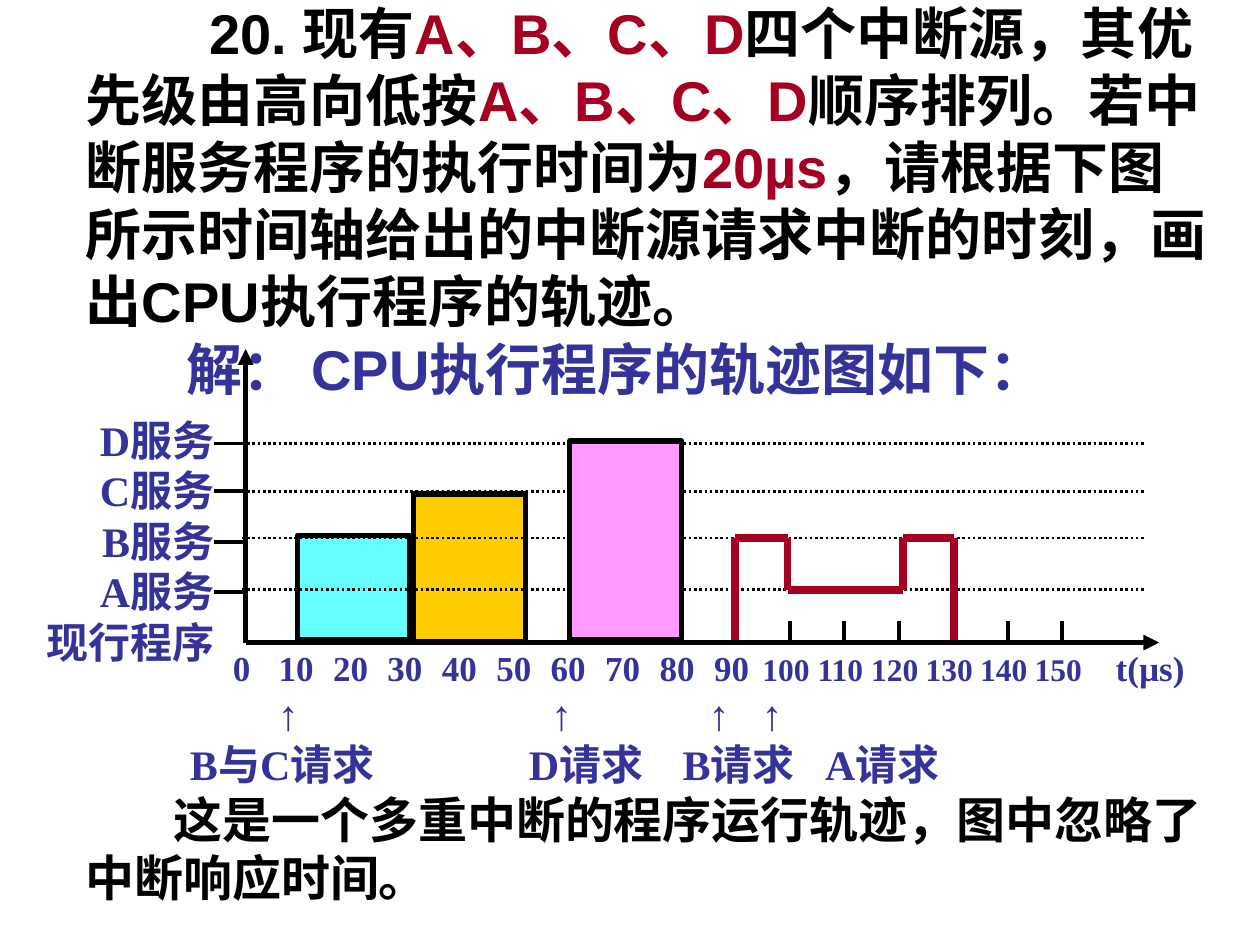
import itertools

import pptx
import pptx.dml.color
import pptx.enum.dml
import pptx.enum.shapes
import pptx.enum.text
import pptx.oxml
import pptx.oxml.ns
import pptx.util

RGB = pptx.dml.color.RGBColor
BLACK = RGB(0x00, 0x00, 0x00)
RED = RGB(0xA5, 0x00, 0x21)
BLUE = RGB(0x33, 0x33, 0x99)
CYAN = RGB(0x66, 0xFF, 0xFF)
ORANGE = RGB(0xFF, 0xCC, 0x00)
PINK = RGB(0xFF, 0x99, 0xFF)

ALIGN = pptx.enum.text.PP_ALIGN
COLS, ROWS = 100, 75
ORIGIN, BASE = 19.5, 51
SERVICE_ROWS = {"D": 35.2, "C": 39, "B": 42.7, "A": 46.8}


def time_col(t):
    """Column of a time in microseconds."""
    return ORIGIN + 0.432 * t


def element(tag, **attrs):
    el = pptx.oxml.parse_xml(f"<a:{tag} {pptx.oxml.ns.nsdecls('a')}/>")
    for name, value in attrs.items():
        el.set(name, str(value))
    return el


class Deck:
    """Slide on a grid of COLS by ROWS, with the style of its elements."""

    def __init__(self):
        self.prs = pptx.Presentation()
        self.prs.slide_width = pptx.util.Inches(10)
        self.prs.slide_height = pptx.util.Inches(7.5)
        self.s = self.prs.slides.add_slide(self.prs.slide_layouts[5])
        self.font = {"name": "Times New Roman", "size": 24, "bold": True, "color": BLUE}

    def grid(self, col, row):
        return (int(self.prs.slide_width * col / COLS),
                int(self.prs.slide_height * row / ROWS))

    def add_runs(self, p, runs, **style):
        """Add (text, overrides) runs to a paragraph."""
        for text, changes in runs:
            r = p.add_run()
            r.text = text
            for name, value in {**self.font, **style, **changes}.items():
                if name == "color":
                    r.font.color.rgb = value
                else:
                    setattr(r.font, name, pptx.util.Pt(value) if name == "size" else value)

    def indent(self, p, cols):
        pPr = p._p.get_or_add_pPr()
        pPr.set("marL", "0")
        pPr.set("indent", str(self.grid(cols, 0)[0]))

    def tabs(self, p, cols, left, kind):
        """Set tab stops at slide columns, for text starting at column left."""
        stops = element("tabLst")
        for col in cols:
            stops.append(element("tab", pos=self.grid(col - left, 0)[0], algn=kind))
        p._p.get_or_add_pPr().append(stops)

    def title(self, box, paragraphs, **style):
        sp = self.s.shapes.title
        sp.left, sp.top = self.grid(*box[:2])
        sp.width, sp.height = self.grid(*box[2:])
        tf = sp.text_frame
        tf.auto_size = pptx.enum.text.MSO_AUTO_SIZE.NONE
        tf.vertical_anchor = pptx.enum.text.MSO_ANCHOR.MIDDLE
        for i, (cols, runs) in enumerate(paragraphs):
            p = tf.add_paragraph() if i else tf.paragraphs[0]
            p.alignment = ALIGN.LEFT
            p.space_before = pptx.util.Pt(0)
            self.indent(p, cols)
            self.add_runs(p, runs, **style)

    def text_box(self, box, count):
        """Add a wrapping text box and return its frame with count paragraphs."""
        sp = self.s.shapes.add_textbox(*self.grid(*box[:2]), *self.grid(*box[2:]))
        tf = sp.text_frame
        tf.word_wrap = True
        for _ in range(count - 1):
            tf.add_paragraph()
        return tf

    def line(self, start, end, width=2.25, color=BLACK, dash=None, arrow=False):
        c = self.s.shapes.add_connector(pptx.enum.shapes.MSO_CONNECTOR.STRAIGHT,
                                        *self.grid(*start), *self.grid(*end))
        c.line.width = pptx.util.Pt(width)
        c.line.color.rgb = color
        if dash:
            c.line.dash_style = dash
        if arrow:
            c.line._get_or_add_ln().append(element("tailEnd", type="triangle"))
        c._element.spPr.append(element("effectLst"))

    def bar(self, col, row, height, color):
        sp = self.s.shapes.add_shape(pptx.enum.shapes.MSO_SHAPE.RECTANGLE,
                                     *self.grid(col, row), *self.grid(8.9, height))
        sp.shadow.inherit = False
        sp.fill.solid()
        sp.fill.fore_color.rgb = color
        sp.line.color.rgb = BLACK
        sp.line.width = pptx.util.Pt(3)


def add_question(deck):
    red = {"color": RED}
    question = [
        ("20. 现有", {}), ("A、B、C、D", red),
        ("四个中断源，其优先级由高向低按", {}), ("A、B、C、D", red),
        ("顺序排列。若中断服务程序的执行时间为", {}), ("20µs", red),
        ("，请根据下图所示时间轴给出的中断源请求中断的时刻，画出CPU执行程序的轨迹。", {}),
    ]
    answer = [("解： CPU执行程序的轨迹图如下：", {"color": BLUE})]
    deck.title((5.8, 2.5, 91.7, 26.7), [(9.8, question), (8, answer)],
               name="Arial", size=32, color=BLACK)


def add_axes(deck):
    for end in ((ORIGIN, 27.7), (92, BASE)):
        deck.line((ORIGIN, BASE), end, width=3, arrow=True)
    for row in (35.2, 39, 43, 47):
        deck.line((17, row), (ORIGIN, row))
    for t in range(10, 160, 10):
        deck.line((time_col(t), 49.3), (time_col(t), BASE))

    labels = [f"{name}服务" for name in SERVICE_ROWS] + ["现行程序"]
    tf = deck.text_box((2.8, 32.4, 18, 21), len(labels))
    tf.margin_left, tf.margin_right = 0, deck.grid(3.8, 0)[0]
    for p, label in zip(tf.paragraphs, labels):
        p.alignment = ALIGN.RIGHT
        deck.add_runs(p, [(label, {})])


def add_timeline_text(deck):
    left = 6.8
    times, arrows, requests, note = deck.text_box((5.8, 50.8, 91.7, 21.7), 4).paragraphs

    ticks = range(0, 160, 10)
    deck.tabs(times, [time_col(t) - 0.3 for t in ticks] + [91.3], left, "ctr")
    deck.add_runs(times, [(f"\t{t}", {"size": 18 if t >= 100 else 20}) for t in ticks]
                  + [("\tt(µs)", {"size": 20})])

    deck.tabs(arrows, (22.9, 44.6, 57.1, 61.3), left, "ctr")
    deck.add_runs(arrows, [("\t↑" * 4, {"name": "Arial"})])

    deck.tabs(requests, (15.1, 42, 54.2, 65.5), left, "l")
    deck.add_runs(requests, [("\tB与C请求\tD请求\tB请求\tA请求", {})])

    deck.indent(note, 7)
    deck.add_runs(note, [("这是一个多重中断的程序运行轨迹，图中忽略了中断响应时间。", {})],
                  size=28, color=BLACK)


def add_trace(deck):
    deck.bar(23.6, 42.5, 8.3, CYAN)
    deck.bar(32.8, 39.2, 11.7, ORANGE)
    for row in SERVICE_ROWS.values():
        deck.line((19.2, row), (90.8, row), width=1.5,
                  dash=pptx.enum.dml.MSO_LINE.ROUND_DOT)
    deck.bar(45.2, 35, 15.8, PINK)

    b, a, foot = SERVICE_ROWS["B"], SERVICE_ROWS["A"], 50.8
    corners = [(58.3, foot), (58.3, b), (62.5, b), (62.5, a),
               (71.7, a), (71.7, b), (75.7, b), (75.7, foot)]
    for start, end in itertools.pairwise(corners):
        deck.line(start, end, width=4.5, color=RED)


def main():
    deck = Deck()
    add_question(deck)
    add_axes(deck)
    add_timeline_text(deck)
    add_trace(deck)
    deck.prs.save("out.pptx")


if __name__ == "__main__":
    main()
